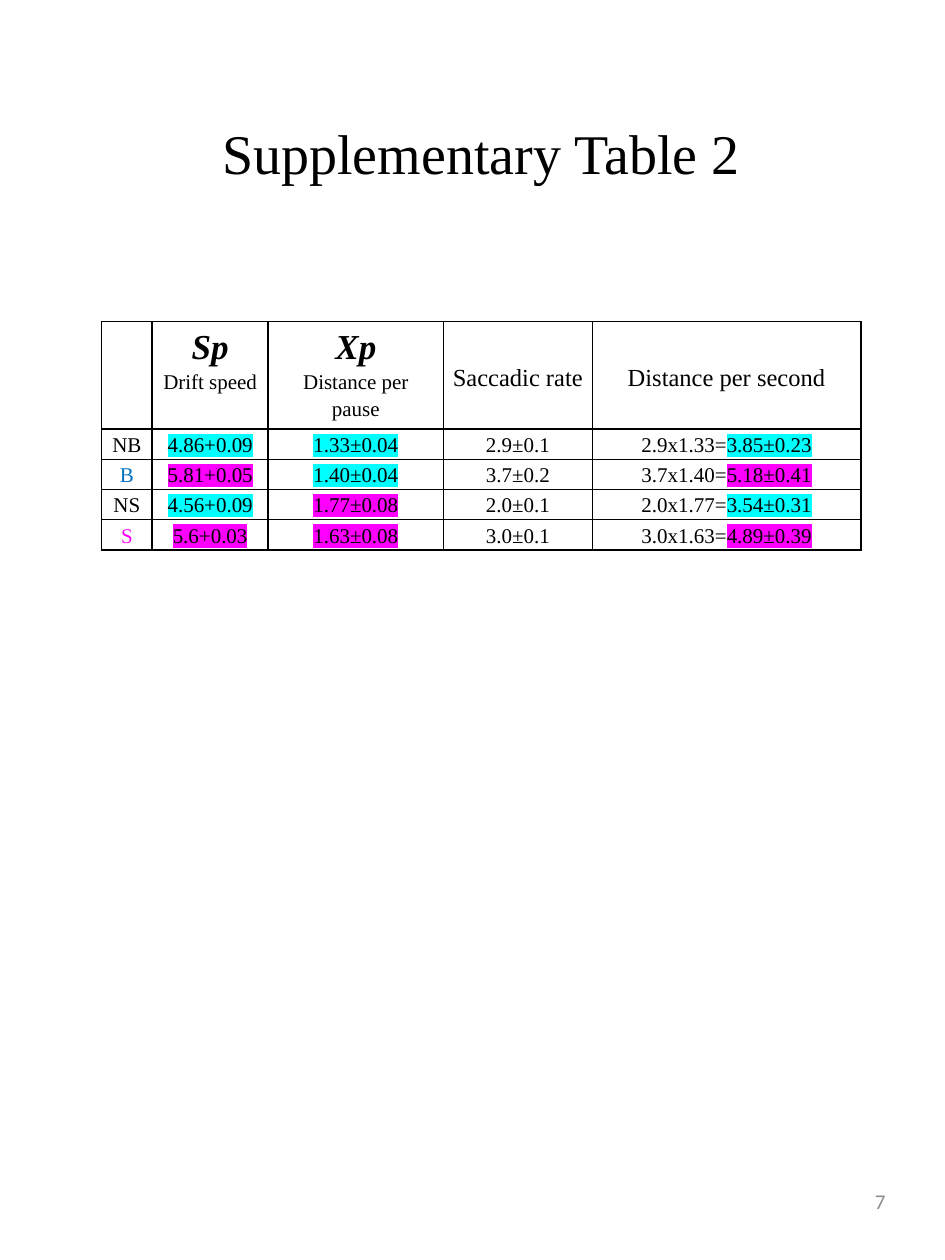
from dataclasses import dataclass

from lxml import etree
from pptx import Presentation
from pptx.dml.color import RGBColor
from pptx.enum.text import MSO_ANCHOR, PP_ALIGN
from pptx.oxml.ns import qn
from pptx.util import Pt

CENTER, RIGHT = PP_ALIGN.CENTER, PP_ALIGN.RIGHT
TOP, MIDDLE = MSO_ANCHOR.TOP, MSO_ANCHOR.MIDDLE


@dataclass(frozen=True)
class Theme:
    serif: str = "Times New Roman"
    sans: str = "Calibri"
    black: str = "000000"
    gray: str = "8C8C8C"
    blue: str = "0070C0"
    cyan: str = "00FFFF"
    magenta: str = "FF00FF"
    title: int = 32
    symbol: int = 20
    heading: int = 14
    body: int = 12
    border: int = 1


THEME = Theme()
CYAN, MAGENTA = THEME.cyan, THEME.magenta

COLUMN_WIDTHS = (29, 66.25, 100.25, 85, 153.5)
HEADER_HEIGHT, ROW_HEIGHT = 57, 16
SYMBOL = {"size": THEME.symbol, "bold": True, "italic": True}
HEADING = {"size": THEME.heading}
HEADERS = (
    (TOP, ()),
    (TOP, (("Sp", SYMBOL), ("Drift speed", {}))),
    (TOP, (("Xp", SYMBOL), ("Distance per pause", {}))),
    (MIDDLE, (("Saccadic rate", HEADING),)),
    (MIDDLE, (("Distance per second", HEADING),)),
)
MEASUREMENTS = (
    ("NB", THEME.black, "4.86+0.09", CYAN, "1.33±0.04", CYAN,
     "2.9±0.1", "2.9x1.33=", "3.85±0.23", CYAN),
    ("B", THEME.blue, "5.81+0.05", MAGENTA, "1.40±0.04", CYAN,
     "3.7±0.2", "3.7x1.40=", "5.18±0.41", MAGENTA),
    ("NS", THEME.black, "4.56+0.09", CYAN, "1.77±0.08", MAGENTA,
     "2.0±0.1", "2.0x1.77=", "3.54±0.31", CYAN),
    ("S", THEME.magenta, "5.6+0.03", MAGENTA, "1.63±0.08", MAGENTA,
     "3.0±0.1", "3.0x1.63=", "4.89±0.39", MAGENTA),
)


def add_color(parent, tag, color):
    element = etree.SubElement(parent, qn(tag))
    etree.SubElement(element, qn("a:srgbClr"), val=color)
    return element


def add_run(paragraph, text, size=THEME.body, name=THEME.serif,
            color=THEME.black, highlight=None, bold=False, italic=False):
    run = paragraph.add_run()
    run.text = text
    font = run.font
    values = {"size": Pt(size), "name": name, "bold": bold, "italic": italic}
    for attribute, value in values.items():
        setattr(font, attribute, value)
    font.color.rgb = RGBColor.from_string(color)
    if highlight:
        properties = run._r.get_or_add_rPr()
        mark = add_color(properties, "a:highlight", highlight)
        properties.find(qn("a:solidFill")).addnext(mark)


def add_label(slide, box, text, alignment, **style):
    shape = slide.shapes.add_textbox(*map(Pt, box))
    frame = shape.text_frame
    frame.word_wrap = True
    frame.vertical_anchor = MIDDLE
    paragraph = frame.paragraphs[0]
    paragraph.alignment = alignment
    add_run(paragraph, text, **style)


def set_borders(cell):
    properties = cell._tc.get_or_add_tcPr()
    for index, side in enumerate(("a:lnL", "a:lnR", "a:lnT", "a:lnB")):
        line = etree.Element(qn(side), w=str(Pt(THEME.border)))
        add_color(line, "a:solidFill", THEME.black)
        properties.insert(index, line)


def fill_cell(cell, paragraphs, anchor=TOP):
    values = {"margin_left": Pt(5), "margin_right": Pt(5),
              "margin_top": Pt(0.7), "margin_bottom": Pt(0),
              "vertical_anchor": anchor}
    for attribute, value in values.items():
        setattr(cell, attribute, value)
    cell.fill.background()
    set_borders(cell)
    frame = cell.text_frame
    for index, runs in enumerate(paragraphs):
        paragraph = frame.add_paragraph() if index else frame.paragraphs[0]
        paragraph.alignment = CENTER
        paragraph.line_spacing = 1.15
        for text, style in runs:
            add_run(paragraph, text, **style)


def measurement_cells(group, color, speed, speed_mark, distance,
                      distance_mark, rate, product, result, result_mark):
    return (
        [(group, {"color": color})],
        [(speed, {"highlight": speed_mark})],
        [(distance, {"highlight": distance_mark})],
        [(rate, {})],
        [(product, {}), (result, {"highlight": result_mark})],
    )


def add_drift_table(slide, left, top):
    heights = [HEADER_HEIGHT] + [ROW_HEIGHT] * len(MEASUREMENTS)
    table = slide.shapes.add_table(
        len(heights), len(COLUMN_WIDTHS), Pt(left), Pt(top),
        Pt(sum(COLUMN_WIDTHS)), Pt(sum(heights))).table
    table.first_row = table.horz_banding = False
    for column, width in zip(table.columns, COLUMN_WIDTHS):
        column.width = Pt(width)
    for row, height in zip(table.rows, heights):
        row.height = Pt(height)
    for column, (anchor, lines) in enumerate(HEADERS):
        fill_cell(table.cell(0, column), [[line] for line in lines], anchor)
    for row, measurement in enumerate(MEASUREMENTS, start=1):
        for column, runs in enumerate(measurement_cells(*measurement)):
            fill_cell(table.cell(row, column), [runs])


def main():
    presentation = Presentation()
    presentation.slide_width, presentation.slide_height = Pt(540), Pt(720)
    slide = presentation.slides.add_slide(presentation.slide_layouts[6])
    add_label(slide, (387, 667.5, 126, 38), "7", RIGHT,
              name=THEME.sans, color=THEME.gray)
    add_label(slide, (32, 27, 486, 120), "Supplementary Table 2", CENTER,
              size=THEME.title)
    add_drift_table(slide, 58, 183.75)
    presentation.save("out.pptx")


if __name__ == "__main__":
    main()
